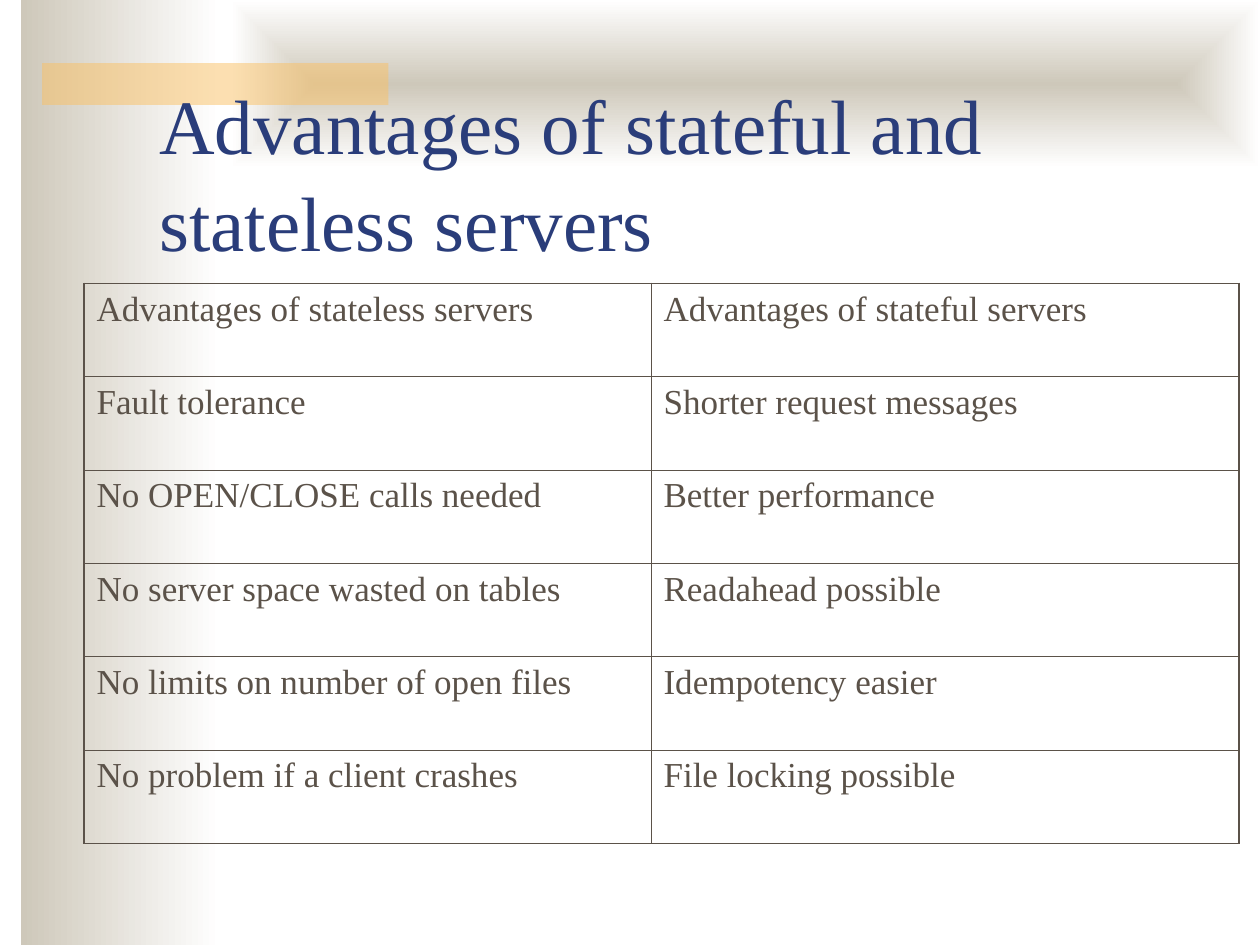
from lxml import etree
from pptx import Presentation
from pptx import util as u
from pptx.dml.color import RGBColor
from pptx.enum import shapes, text
from pptx.oxml import parse_xml
from pptx.oxml.ns import nsdecls, qn


class Theme:
    font = "Times New Roman"
    title_size, cell_size = 44, 20
    title, ink = "2A3D7A", "5B5249"
    sand, paper, amber = "CEC8BA", "FFFFFF", "FAC164"
    outer_line, inner_line = 1.08, 0.45


UNIT = u.Inches(1) / 12  # the slide is a grid of 120 columns by 90 rows

ROWS = [
    ("Advantages of stateless servers", "Advantages of stateful servers"),
    ("Fault tolerance", "Shorter request messages"),
    ("No OPEN/CLOSE calls needed", "Better performance"),
    ("No server space wasted on tables", "Readahead possible"),
    ("No limits on number of open files", "Idempotency easier"),
    ("No problem if a client crashes", "File locking possible"),
]


def grid(*cells):
    return [u.Emu(round(c * UNIT)) for c in cells]


def write(tf, words, size, color, anchor=None, spacing=None):
    tf.word_wrap = True
    if anchor is not None:
        tf.vertical_anchor = anchor
    p = tf.paragraphs[0]
    p.line_spacing = spacing
    r = p.add_run()
    r.text = words
    r.font.name, r.font.size = Theme.font, u.Pt(size)
    r.font.color.rgb = RGBColor.from_string(color)


def panel(s, box):
    sp = s.shapes.add_shape(shapes.MSO_SHAPE.RECTANGLE, *grid(*box))
    sp.shadow.inherit = False
    sp.line.fill.background()
    return sp


def gradient(sp, direction):
    """Fade from sand to paper; direction is the a:lin or a:path markup."""
    stops = "".join(
        f'<a:gs pos="{pos}"><a:srgbClr val="{color}"/></a:gs>'
        for pos, color in ((0, Theme.sand), (100000, Theme.paper)))
    fill = parse_xml(f'<a:gradFill {nsdecls("a")} rotWithShape="1">'
                     f'<a:gsLst>{stops}</a:gsLst>{direction}</a:gradFill>')
    sp._element.spPr.find(qn("a:prstGeom")).addnext(fill)


def side_band(s, box):
    gradient(panel(s, box), '<a:lin ang="0" scaled="1"/>')


def top_band(s, box):
    gradient(panel(s, box), '<a:path path="rect"><a:fillToRect '
             'l="50000" t="50000" r="50000" b="50000"/></a:path>')


def accent_bar(s, box):
    sp = panel(s, box)
    sp.fill.solid()
    sp.fill.fore_color.rgb = RGBColor.from_string(Theme.amber)
    color = sp._element.spPr.find(qn("a:solidFill"))[0]
    etree.SubElement(color, qn("a:alpha")).set("val", "50000")


def title(s, box, words):
    tf = s.shapes.add_textbox(*grid(*box)).text_frame
    write(tf, words, Theme.title_size, Theme.title,
          anchor=text.MSO_ANCHOR.BOTTOM, spacing=1.05)


def borders(cell, outer):
    """Draw all four sides; outer tells which lie on the table's edge."""
    tcPr = cell._tc.get_or_add_tcPr()
    for i, (side, on_edge) in enumerate(outer.items()):
        width = u.Pt(Theme.outer_line if on_edge else Theme.inner_line)
        tcPr.insert(i, parse_xml(
            f'<a:ln{side} {nsdecls("a")} w="{width}"><a:solidFill>'
            f'<a:srgbClr val="{Theme.ink}"/></a:solidFill></a:ln{side}>'))


def comparison_table(s, box, rows, columns):
    last_row, last_col = len(rows) - 1, len(columns) - 1
    table = s.shapes.add_table(len(rows), len(columns), *grid(*box)).table
    table.first_row = table.horz_banding = False
    for column, width in zip(table.columns, grid(*columns)):
        column.width = width
    for i, row in enumerate(rows):
        for j, words in enumerate(row):
            cell = table.cell(i, j)
            cell.fill.background()
            borders(cell, {"L": j == 0, "R": j == last_col,
                           "T": i == 0, "B": i == last_row})
            write(cell.text_frame, words, Theme.cell_size, Theme.ink)


def main():
    prs = Presentation()
    prs.slide_width, prs.slide_height = grid(120, 90)
    s = prs.slides.add_slide(prs.slide_layouts[6])
    side_band(s, (2, 0, 19, 90))
    top_band(s, (22, 0, 98, 16))
    accent_bar(s, (4, 6, 33, 4))
    title(s, (14, 11, 102, 15), "Advantages of stateful and stateless servers")
    comparison_table(s, (8, 27, 110, 53.33), ROWS, (54, 56))
    prs.save("out.pptx")


if __name__ == "__main__":
    main()
